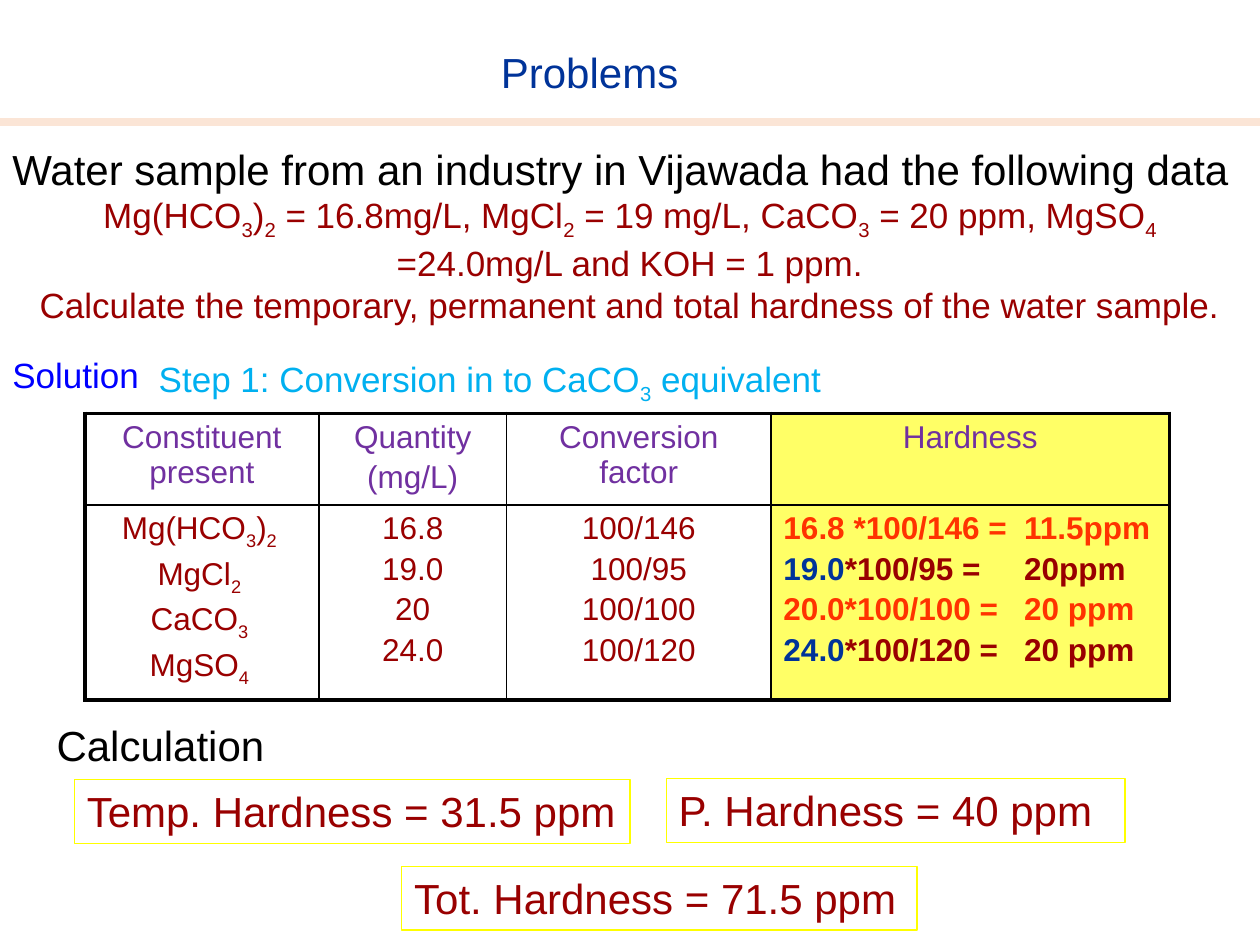
from dataclasses import dataclass
from typing import Any

from lxml import etree
from pptx import Presentation
from pptx.dml import color as dml
from pptx.enum import shapes, text
from pptx.oxml import ns
from pptx.util import Cm, Pt

FONT = "Arial"
RED, BLUE, FIRE, GOLD = "990000", "003399", "FF3300", "FFFF66"
MID, LEFT = text.PP_ALIGN.CENTER, text.PP_ALIGN.LEFT


@dataclass
class Box:
    words: str
    left: float
    top: float
    width: float
    height: float
    size: float = 24
    color: str = RED
    frame: bool = False


@dataclass
class Column:
    width: float
    head: list
    body: list
    fill: str = ""
    bold: bool = False
    tab: float = 0


def rgb(code: str) -> dml.RGBColor:
    return dml.RGBColor.from_string(code)


def node(owner: Any, tag: str, **attrs: str) -> Any:
    child = etree.SubElement(owner, ns.qn(tag))
    for key, value in attrs.items():
        child.set(key, value)
    return child


def add_run(para: Any, words: str, size: float, color: str, bold: bool, low: bool) -> None:
    run = para.add_run()
    run.text = words
    font = run.font
    font.name, font.size, font.bold = FONT, Pt(size), bold
    font.color.rgb = rgb(color)
    if low:
        run._r.get_or_add_rPr().set("baseline", "-25000")


def write(frame: Any, lines: list, size: float = 18, color: str = RED, align: Any = LEFT,
          gap: float = 0, bold: bool = False, tab: float = 0) -> None:
    frame.word_wrap = True
    for row, line in enumerate(lines):
        para = frame.paragraphs[0] if row == 0 else frame.add_paragraph()
        para.alignment = align
        if row and gap:
            para.space_before = Pt(gap)
        if tab:
            stops = node(para._p.get_or_add_pPr(), "a:tabLst")
            node(stops, "a:tab", pos=str(int(Cm(tab))), algn="l")
        parts = [(line, color)] if isinstance(line, str) else line
        for words, tint in parts:
            for place, piece in enumerate(words.split("_")):
                for turn, bit in enumerate(piece.split("\n")):
                    if turn:
                        para.add_line_break()
                    if bit:
                        add_run(para, bit, size, tint, bold, place % 2 == 1)


def add_box(slide: Any, box: Box) -> None:
    area = [Cm(n) for n in (box.left, box.top, box.width, box.height)]
    if box.frame:
        shape = slide.shapes.add_shape(shapes.MSO_SHAPE.RECTANGLE, *area)
        shape.shadow.inherit = False
        shape.fill.background()
        shape.line.color.rgb = rgb("FFFF00")
        shape.line.width = Pt(0.75)
    else:
        shape = slide.shapes.add_textbox(*area)
    shape.text_frame.vertical_anchor = text.MSO_ANCHOR.TOP
    write(shape.text_frame, [box.words], size=box.size, color=box.color)


def edge(cell: Any, sides: dict) -> None:
    props = cell._tc.get_or_add_tcPr()
    for spot, (side, width) in enumerate(sides.items()):
        line = etree.Element(ns.qn("a:" + side), w=str(int(Pt(width))))
        node(node(line, "a:solidFill"), "a:srgbClr", val="000000")
        props.insert(spot, line)


def add_grid(slide: Any, cols: list[Column], left: float, top: float, rows: list[float]) -> None:
    total = sum(col.width for col in cols)
    grid = slide.shapes.add_table(len(rows), len(cols), Cm(left), Cm(top),
                                  Cm(total), Cm(sum(rows))).table
    grid.first_row = grid.horz_banding = False
    for y, height in enumerate(rows):
        grid.rows[y].height = Cm(height)
    for x, col in enumerate(cols):
        grid.columns[x].width = Cm(col.width)
        for y, lines in enumerate((col.head, col.body)):
            cell = grid.cell(y, x)
            if col.fill:
                cell.fill.solid()
                cell.fill.fore_color.rgb = rgb(col.fill)
            else:
                cell.fill.background()
            outer = {"lnL": x == 0, "lnR": x == len(cols) - 1,
                     "lnT": y == 0, "lnB": y == len(rows) - 1}
            edge(cell, {side: 2.25 if far else 1 for side, far in outer.items()})
            if y == 0:
                write(cell.text_frame, lines, color="7030A0", align=MID, gap=3)
            else:
                write(cell.text_frame, lines, align=LEFT if col.tab else MID, gap=3,
                      bold=col.bold, tab=col.tab)


COLS = [
    Column(4.72, ["Constituent present"],
           ["Mg(HCO_3_)_2 ", "MgCl_2 ", "CaCO_3 ", "MgSO_4 "]),
    Column(3.78, ["Quantity", "(mg/L)"], ["16.8", "19.0", "20", "24.0"]),
    Column(5.33, ["Conversion factor"], ["100/146", "100/95", "100/100", "100/120"]),
    Column(8.04, ["Hardness"], [
        [("16.8 *100/146 =\t11.5ppm", FIRE)],
        [("19.0", BLUE), ("*100/95 =\t20ppm", RED)],
        [("20.0*100/100 =\t20 ppm", FIRE)],
        [("24.0", BLUE), ("*100/120 =\t20 ppm", RED)],
    ], fill=GOLD, bold=True, tab=4.85),
]

BOXES = [
    Box("Solution", 0, 7.01, 3.43, 1.11, 20, "0000FF"),
    Box("Step 1: Conversion in to CaCO_3_ equivalent", 2.95, 7.09, 14.1, 1.11, 20, "00B0F0"),
    Box("Temp. Hardness = 31.5 ppm", 1.5, 15.72, 11.2, 1.28, frame=True),
    Box("P. Hardness = 40 ppm", 13.43, 15.7, 9.25, 1.28, frame=True),
    Box("Tot. Hardness = 71.5 ppm", 8.1, 17.47, 10.39, 1.28, frame=True),
    Box("Calculation", 0.89, 14.38, 5.56, 1.28, color="000000"),
]


def main() -> None:
    deck = Presentation()
    deck.slide_width, deck.slide_height = Cm(25.4), Cm(19.05)
    slide = deck.slides.add_slide(deck.slide_layouts[5])

    title = slide.shapes.title
    title.left, title.top, title.width, title.height = Cm(8.48), Cm(0.81), Cm(6.81), Cm(1.4)
    title.text_frame.vertical_anchor = text.MSO_ANCHOR.MIDDLE
    write(title.text_frame, ["Problems"], size=24, color=BLUE, align=MID)
    title.text_frame.paragraphs[0].line_spacing = 0.9

    add_grid(slide, COLS, 1.71, 8.33, [1.85, 3.93])

    task = slide.shapes.add_textbox(Cm(0), Cm(2.77), Cm(25.4), Cm(3.84)).text_frame
    write(task, [
        [("Water sample from an industry in Vijawada had the following data", "000000")],
        "Mg(HCO_3_)_2_ = 16.8mg/L, MgCl_2_ = 19 mg/L, CaCO_3_ = 20 ppm, MgSO_4_"
        "\n=24.0mg/L and KOH = 1 ppm.",
        "Calculate the temporary, permanent and total hardness of the water sample.",
    ], size=20, align=MID)
    lead = task.paragraphs[0]
    lead.alignment = text.PP_ALIGN.JUSTIFY
    lead.runs[0].font.size = Pt(24)

    for box in BOXES:
        add_box(slide, box)

    rule = slide.shapes.add_connector(shapes.MSO_CONNECTOR.STRAIGHT,
                                      Cm(25.4), Cm(2.46), Cm(0), Cm(2.46))
    rule.line.color.rgb = rgb("FBE5D6")
    rule.line.width = Pt(4.5)
    node(rule._element.spPr, "a:effectLst")

    deck.save("out.pptx")


if __name__ == "__main__":
    main()
